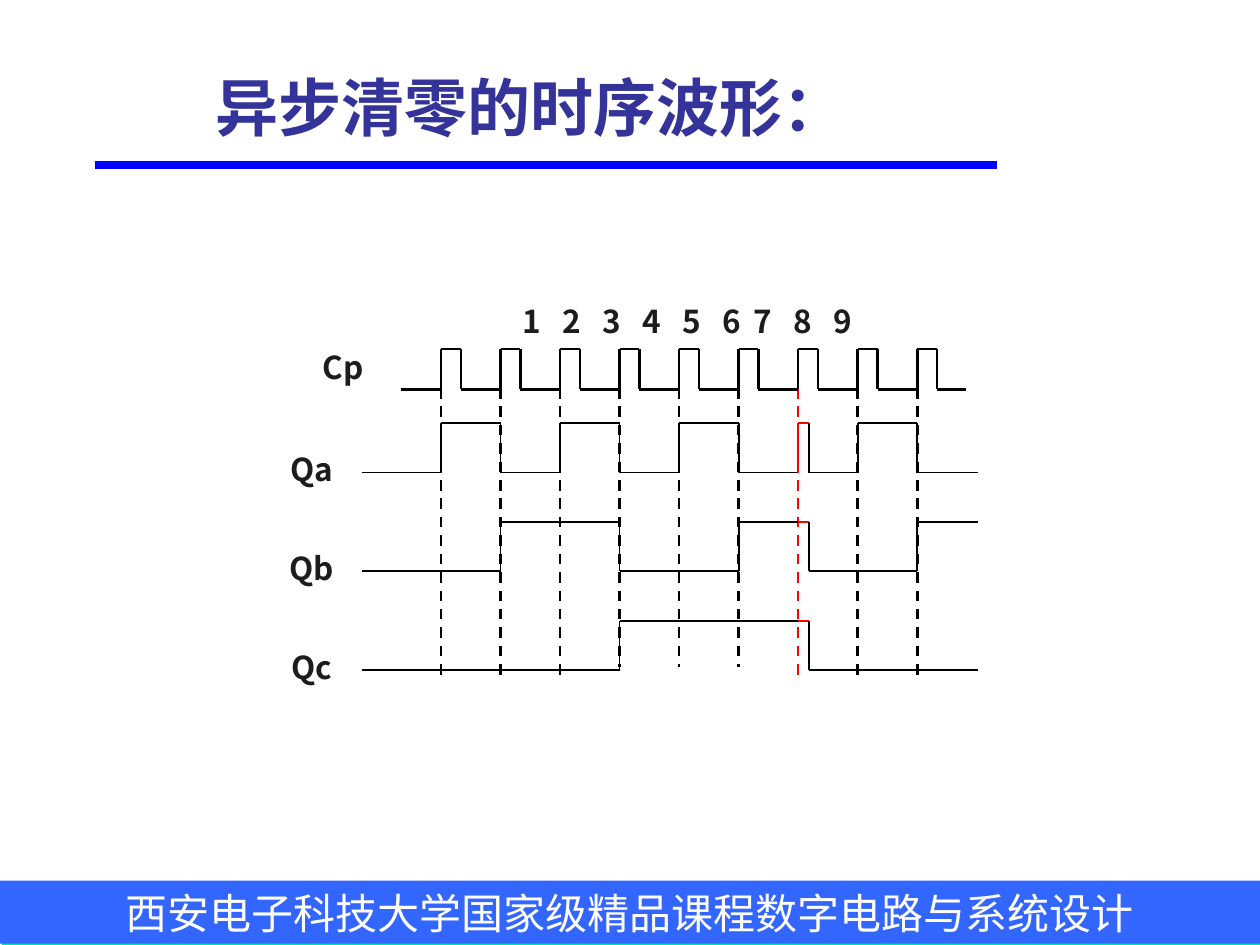
"""Build a slide with the timing diagram of an asynchronous clear."""
from lxml.etree import SubElement
from pptx import Presentation
from pptx.dml.color import RGBColor
from pptx.enum.dml import MSO_LINE
from pptx.enum.shapes import MSO_CONNECTOR, MSO_SHAPE
from pptx.enum.text import MSO_ANCHOR, MSO_AUTO_SIZE, PP_ALIGN
from pptx.oxml.ns import qn
from pptx.util import Inches, Pt

COLORS = {
    "title": "333399", "rule": "0000FF", "band": "3366FF", "shade": "00E4A8",
    "white": "FFFFFF", "label": "1C1C1C", "wave": "000000", "clear": "FF0000",
}
LABEL_FONT = "Noto Sans CJK SC"
PERIOD = 0.4725
EDGES = [3.5 + PERIOD * column for column in range(9)]
CLEAR_EDGE = 6
CLEAR_END = 6.42
BOUNDS = [2.87, *EDGES[:7], CLEAR_END, *EDGES[7:], 7.76]
CLOCK_START, CLOCK_END = 3.18, 7.67
CLOCK_HIGH, CLOCK_LOW = 2.77, 3.09
PULSE = PERIOD / 3
FIRST_LOW, ROW_STEP, SWING = 3.75, 0.785, 0.39
SIGNALS = {"Qa": "01010101010", "Qb": "00110011001", "Qc": "00001111000"}


def color(name):
    """Return the named colour."""
    return RGBColor.from_string(COLORS[name])


def add_line(page, start, end, tone="wave", width=1, dashed=False):
    """Draw a straight line between two points in inches."""
    line = page.shapes.add_connector(
        MSO_CONNECTOR.STRAIGHT, *(Inches(value) for value in (*start, *end)))
    line.line.color.rgb = color(tone)
    line.line.width = Pt(width)
    if dashed:
        line.line.dash_style = MSO_LINE.DASH
    SubElement(line._element.spPr, qn("a:effectLst"))


def style_text(frame, size, font, tone, bold=False, align=PP_ALIGN.CENTER):
    """Format the first paragraph of a text frame."""
    paragraph = frame.paragraphs[0]
    paragraph.alignment = align
    for span in paragraph.runs:
        span.font.size = Pt(size)
        span.font.name = font
        span.font.bold = bold
        span.font.color.rgb = color(tone)


def add_label(page, text, left, top, width, height, align=PP_ALIGN.CENTER):
    """Add a bold label and return its paragraph."""
    box = page.shapes.add_textbox(*map(Inches, (left, top, width, height)))
    frame = box.text_frame
    frame.word_wrap = True
    frame.text = text
    frame.paragraphs[0].line_spacing = 0.9
    style_text(frame, 18, LABEL_FONT, "label", True, align)
    return frame.paragraphs[0]


def add_title(page):
    """Fill the title placeholder and draw the rule below it."""
    title = page.shapes.title
    title.left, title.top, title.width, title.height = map(
        Inches, (1.61, 0.44, 5.59, 0.75))
    frame = title.text_frame
    frame.text = "异步清零的时序波形："
    frame.auto_size = MSO_AUTO_SIZE.NONE
    frame.vertical_anchor = MSO_ANCHOR.BOTTOM
    style_text(frame, 36, "Lato", "title", True, PP_ALIGN.LEFT)
    add_line(page, (0.75, 1.31), (7.91, 1.31), "rule", 4.5)


def add_footer(page):
    """Add the course band with its hard shadow."""
    band = page.shapes.add_shape(
        MSO_SHAPE.RECTANGLE, *map(Inches, (0, 6.99, 10, 0.5)))
    band.fill.solid()
    band.fill.fore_color.rgb = color("band")
    band.line.fill.background()
    band.shadow.inherit = False
    effects = band._element.spPr.find(qn("a:effectLst"))
    shadow = SubElement(effects, qn("a:outerShdw"), blurRad="0",
                        dist=str(Pt(3.2)), dir=str(72 * 60000))
    SubElement(shadow, qn("a:srgbClr"), val=COLORS["shade"])
    frame = band.text_frame
    frame.word_wrap = True
    frame.vertical_anchor = MSO_ANCHOR.MIDDLE
    frame.text = "西安电子科技大学国家级精品课程数字电路与系统设计"
    style_text(frame, 24, "Arial", "white")


def add_guides(page):
    """Draw a dashed guide below each rising clock edge."""
    for column, left in enumerate(EDGES):
        bottom = 5.29 if column in (3, 4, 5) else 5.37
        tone = "clear" if column == CLEAR_EDGE else "wave"
        add_line(page, (left, 3.08), (left, bottom), tone, 1.5, True)


def add_clock(page):
    """Draw the clock pulses with their name and numbers."""
    add_label(page, "Cp", 2.25, 2.75, 0.95, 0.37)
    points = [(CLOCK_START, CLOCK_LOW)]
    for left in EDGES:
        right = left + PULSE
        points += [(left, CLOCK_LOW), (left, CLOCK_HIGH),
                   (right, CLOCK_HIGH), (right, CLOCK_LOW)]
    points.append((CLOCK_END, CLOCK_LOW))
    for start, end in zip(points, points[1:]):
        add_line(page, start, end, width=1.5)


def add_numbers(page):
    """Add the clock numbers on centred tab stops."""
    text = "".join(f"\t{number}" for number in range(1, 10))
    paragraph = add_label(page, text, 3.26, 2.38, 4.41, 0.64, PP_ALIGN.LEFT)
    stops = SubElement(paragraph._p.get_or_add_pPr(), qn("a:tabLst"))
    for column in range(9):
        position = 0.86 + 0.318 * column - (0.07 if column > 5 else 0)
        SubElement(stops, qn("a:tab"), pos=str(Inches(position)), algn="ctr")


def add_signal(page, row, name, levels):
    """Draw one counter output, with the short clear state in red."""
    low = FIRST_LOW + row * ROW_STEP
    heights = [low - SWING * int(level) for level in levels]
    add_label(page, name, 2, low - 0.19, 0.95, 0.37)
    previous = heights[0]
    for column, (left, right, height) in enumerate(
            zip(BOUNDS, BOUNDS[1:], heights)):
        tone = "clear" if column == CLEAR_EDGE + 1 else "wave"
        if height != previous:
            add_line(page, (left, previous), (left, height), tone)
        add_line(page, (left, height), (right, height), tone)
        previous = height


def main():
    """Create and save the deck."""
    deck = Presentation()
    deck.slide_width, deck.slide_height = Inches(10), Inches(7.5)
    page = deck.slides.add_slide(deck.slide_layouts[5])
    add_title(page)
    add_footer(page)
    add_guides(page)
    add_clock(page)
    add_numbers(page)
    for row, (name, levels) in enumerate(SIGNALS.items()):
        add_signal(page, row, name, levels)
    deck.save("out.pptx")


if __name__ == "__main__":
    main()
